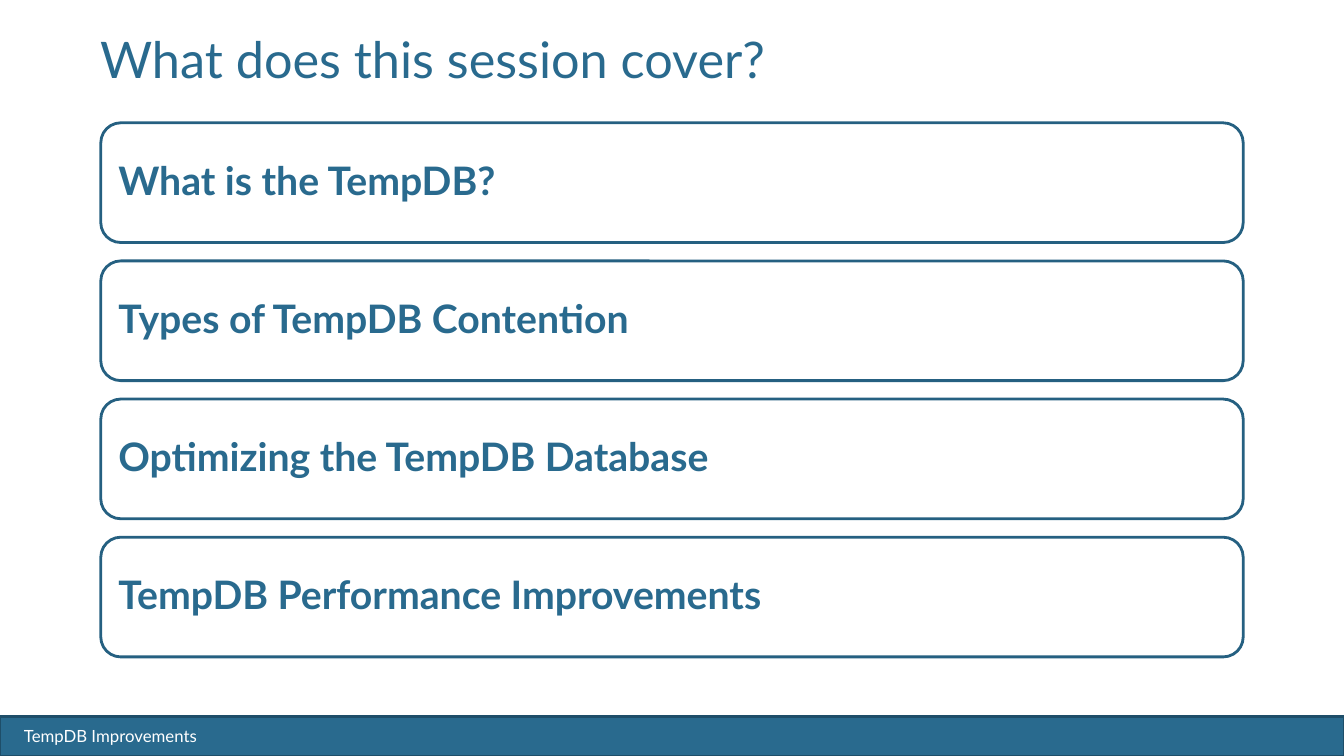
from pptx import Presentation
from pptx.dml.color import RGBColor
from pptx.enum.shapes import MSO_SHAPE as Shape
from pptx.enum.text import MSO_ANCHOR as Anchor, MSO_AUTO_SIZE as AutoSize, PP_ALIGN as Align
from pptx.util import Pt

BLUE = "296A8E"
WHITE = "FFFFFF"
TOPICS = [
    "What is the TempDB?",
    "Types of TempDB Contention",
    "Optimizing the TempDB Database",
    "TempDB Performance Improvements",
]
CARD_TOP, CARD_HEIGHT, CARD_PITCH = 87.75, 85.5, 98.67


def color(value):
    return RGBColor.from_string(value)


def write(shape, text, size, font_color, bold=False, anchor=Anchor.TOP):
    frame = shape.text_frame
    frame.text = text
    frame.word_wrap = True
    frame.auto_size = AutoSize.NONE
    frame.vertical_anchor = anchor
    paragraph = frame.paragraphs[0]
    paragraph.alignment = Align.LEFT
    font = paragraph.font
    font.name, font.size, font.bold = "Lato", Pt(size), bold
    font.color.rgb = color(font_color)
    return paragraph


def add_box(slide, preset, left, top, width, height, fill, line):
    box = slide.shapes.add_shape(preset, Pt(left), Pt(top), Pt(width), Pt(height))
    box.shadow.inherit = False
    box.fill.solid()
    box.fill.fore_color.rgb = color(fill)
    box.line.color.rgb = color(line)
    box.line.width = Pt(2)
    return box


def add_footer(slide):
    add_box(slide, Shape.RECTANGLE, 0, 511.75, 960, 28.75, BLUE, "1E4E69")
    label = slide.shapes.add_textbox(Pt(10), Pt(515), Pt(183.5), Pt(21.8))
    write(label, "TempDB Improvements", 12, WHITE)


def add_topic(slide, top, text):
    card = add_box(slide, Shape.ROUNDED_RECTANGLE, 72, top, 816, CARD_HEIGHT, WHITE, "256081")
    paragraph = write(card, text, 28, BLUE, bold=True, anchor=Anchor.MIDDLE)
    paragraph.line_spacing = 0.9
    frame = card.text_frame
    frame.margin_left = frame.margin_right = Pt(8.4)
    frame.margin_top = frame.margin_bottom = Pt(8.4)


def set_title(slide, text):
    title = slide.shapes.title
    title.left, title.top, title.width, title.height = Pt(64.3), Pt(25), Pt(864), Pt(90)
    write(title, text, 36, BLUE).line_spacing = Pt(35)


def main():
    presentation = Presentation()
    presentation.slide_width, presentation.slide_height = Pt(960), Pt(540)
    slide = presentation.slides.add_slide(presentation.slide_layouts[5])
    add_footer(slide)
    for index, topic in enumerate(TOPICS):
        add_topic(slide, CARD_TOP + index * CARD_PITCH, topic)
    set_title(slide, "What does this session cover?")
    presentation.save("out.pptx")


if __name__ == "__main__":
    main()
